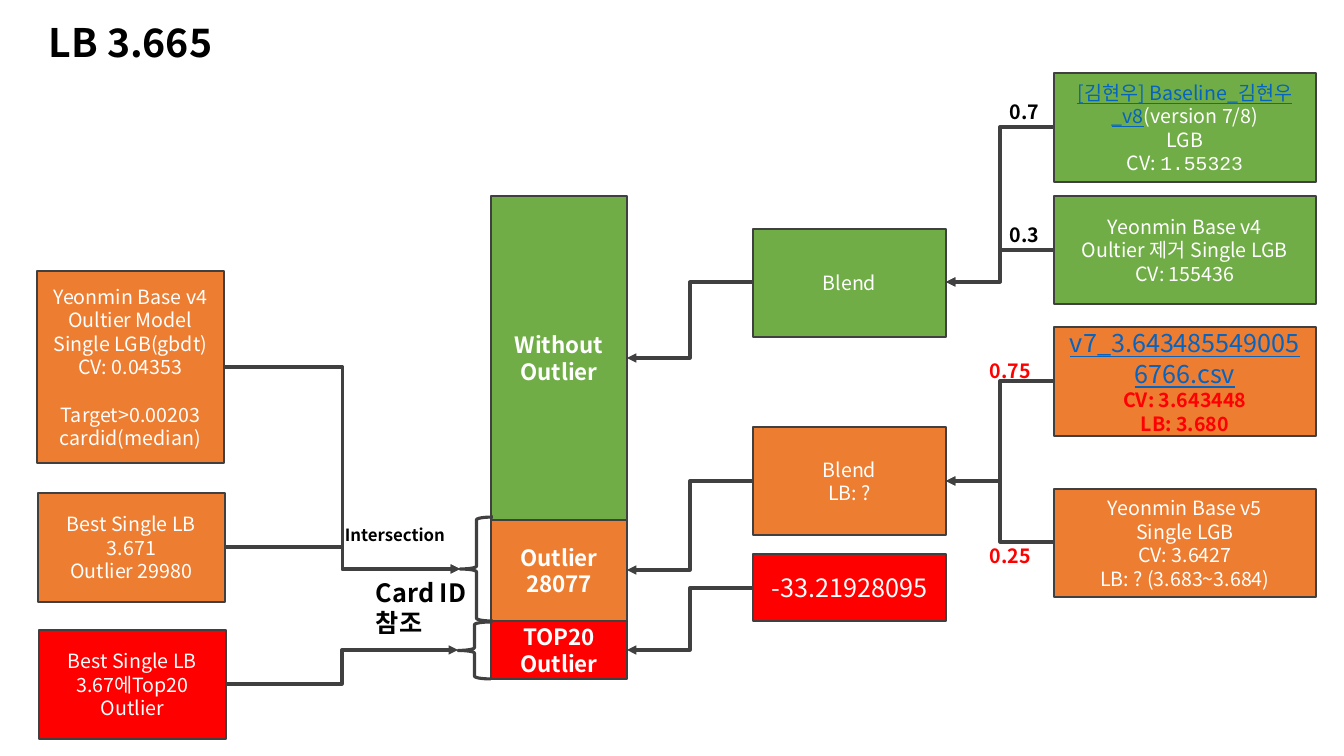
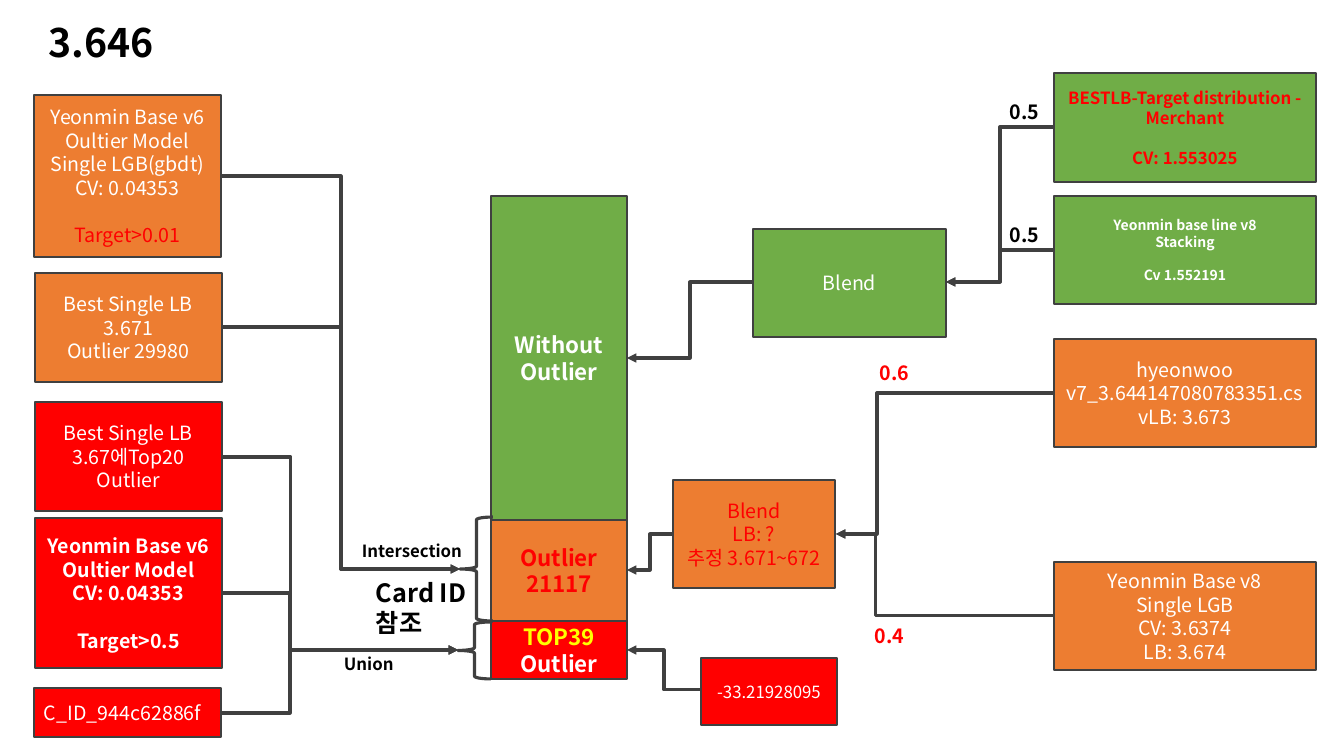
from lxml.etree import SubElement as Sub
from pptx import Presentation
from pptx.dml.color import RGBColor
from pptx.enum.shapes import MSO_CONNECTOR as Link, MSO_SHAPE as Kind
from pptx.enum.text import MSO_ANCHOR as Anchor, MSO_AUTO_SIZE as Fit, PP_ALIGN as Align
from pptx.oxml.ns import qn
from pptx.util import Pt

UNIT = 914400 / 100.8
FONT = "Noto Sans CJK KR"
GREEN = RGBColor(0x70, 0xAD, 0x47)
ORANGE = RGBColor(0xED, 0x7D, 0x31)
RED = RGBColor(0xFF, 0, 0)
YELLOW = RGBColor(0xFF, 0xFF, 0)
WHITE = RGBColor(0xFF, 0xFF, 0xFF)
BLACK = RGBColor(0, 0, 0)
BLUE = RGBColor(0x05, 0x63, 0xC1)
GRAY = RGBColor(0x40, 0x40, 0x40)


def px(*nums):
    return [round(num * UNIT) for num in nums]


def span(text, **form):
    return text, form


def write(para, text, size=14, color=WHITE, bold=False, under=False, face=FONT):
    run = para.add_run()
    run.text = text
    font = run.font
    font.size = Pt(size)
    font.bold = bold
    font.underline = under
    font.color.rgb = color
    font.name = face
    Sub(run._r.get_or_add_rPr(), qn("a:ea")).set("typeface", face)


def fill(frame, lines, align, **form):
    para = frame.paragraphs[0]
    first, gap = True, False
    for line in lines:
        if not line:
            gap = True
            continue
        if not first:
            para = frame.add_paragraph()
        para.alignment = align
        if gap:
            para.space_before = Pt(round(form.get("size", 14) * 1.2))
        first, gap = False, False
        for part in [line] if isinstance(line, str) else line:
            text, extra = (part, {}) if isinstance(part, str) else part
            write(para, text, **{**form, **extra})


class Deck:
    def __init__(self):
        self.show = Presentation()
        self.show.slide_width, self.show.slide_height = px(1344, 756)

    def page(self, title):
        self.slide = self.show.slides.add_slide(self.show.slide_layouts[6])
        self.label(39, 13, 1277, 57, title, size=28)

    def label(self, x, y, wide, high, text, size=14, color=BLACK):
        frame = self.slide.shapes.add_textbox(*px(x, y, wide, high)).text_frame
        frame.word_wrap = True
        frame.auto_size = Fit.SHAPE_TO_FIT_TEXT
        fill(frame, [text], Align.LEFT, size=size, color=color, bold=True)

    def weight(self, x, y, text, color=RED):
        self.label(x, y, 66, 34, text, color=color)

    def note(self, x, y, text):
        self.label(x, y, 123, 30, text, size=12)

    def box(self, x, y, wide, high, back, *lines, align=Align.CENTER, **form):
        shape = self.slide.shapes.add_shape(Kind.RECTANGLE, *px(x, y, wide, high))
        shape.shadow.inherit = False
        shape.fill.solid()
        shape.fill.fore_color.rgb = back
        shape.line.color.rgb = GRAY
        shape.line.width = Pt(1)
        frame = shape.text_frame
        frame.word_wrap = True
        frame.vertical_anchor = Anchor.MIDDLE
        fill(frame, lines, align, **form)

    def brace(self, x, y, wide, high):
        shape = self.slide.shapes.add_shape(Kind.LEFT_BRACE, *px(x, y, wide, high))
        shape.shadow.inherit = False
        shape.fill.background()
        shape.line.color.rgb = GRAY
        shape.line.width = Pt(2.25)

    def arrow(self, x, y, endx, endy, bend=None):
        link = self.slide.shapes.add_connector(Link.ELBOW, *px(x, y, endx, endy))
        link.line.color.rgb = GRAY
        link.line.width = Pt(2.25)
        Sub(link.line._get_or_add_ln(), qn("a:tailEnd")).set("type", "triangle")
        props = link._element.spPr
        Sub(props, qn("a:effectLst"))
        if bend:
            guide = Sub(props.find(".//" + qn("a:avLst")), qn("a:gd"))
            guide.set("name", "adj1")
            guide.set("fmla", f"val {round((bend - x) / (endx - x) * 100000)}")

    def core(self, count, top, tint, shares):
        bold = dict(size=16, bold=True)
        self.box(491, 196, 136, 324, GREEN, "Without", "Outlier", **bold)
        self.box(491, 520, 136, 101, ORANGE, "Outlier", count, color=tint, **bold)
        self.box(491, 621, 136, 58, RED, top, **bold)
        self.brace(458, 622, 33, 57)
        self.brace(460, 517, 33, 104)
        self.label(366, 572, 116, 72, "Card ID 참조", size=18)
        self.box(753, 229, 193, 108, GREEN, "Blend")
        self.arrow(753, 282, 627, 358)
        for y, share in zip((127, 250), shares):
            self.arrow(1054, y, 946, 282)
            self.weight(1000, y - 32, share, BLACK)

    def model(self, y, high, back, *lines, **form):
        self.box(1054, y, 262, high, back, *lines, **form)

    def source(self, x, y, high, back, *lines, **form):
        self.box(x, y, 187, high, back, *lines, **form)


VALUE = "-33.21928095"
SINGLE = ("Best Single LB 3.671", "Outlier 29980")
TOP = "Best Single LB 3.67에Top20 Outlier"

deck = Deck()

deck.page("LB 3.665")
deck.core("28077", "TOP20 Outlier", WHITE, ("0.7", "0.3"))
deck.model(73, 109, GREEN,
           [span("[김현우] Baseline_김현우_v8", color=BLUE, under=True),
            "(version\u00a07/8)"],
           "LGB", ["CV: ", span("1.55323", face="Courier New")])
deck.model(196, 108, GREEN, "Yeonmin Base v4", "Oultier 제거 Single LGB", "CV: 155436")
deck.model(327, 109, ORANGE,
           [span("v7_3.6434855490056766.csv", size=18, color=BLUE,
                 under=True, bold=False)],
           "CV: 3.643448", "LB: 3.680", color=RED, bold=True)
deck.model(489, 108, ORANGE, "Yeonmin Base v5", "Single LGB", "CV: 3.6427",
           "LB: ? (3.683~3.684)")
deck.box(753, 427, 193, 108, ORANGE, "Blend", "LB: ?")
deck.box(753, 554, 193, 67, RED, VALUE, size=18)
for y in (381, 542):
    deck.arrow(1054, y, 946, 481)
deck.arrow(753, 481, 627, 570)
deck.arrow(753, 588, 627, 650)
deck.weight(980, 354, "0.75")
deck.weight(980, 539, "0.25")
deck.source(37, 271, 192, ORANGE, "Yeonmin Base v4", "Oultier Model",
            "Single LGB(gbdt)", "CV: 0.04353", "", "Target>0.00203 cardid(median)")
deck.source(38, 493, 109, ORANGE, *SINGLE)
deck.source(39, 630, 109, RED, TOP)
for y in (367, 547):
    deck.arrow(225, y, 460, 569)
deck.arrow(226, 684, 458, 650)
deck.note(335, 520, "Intersection")

deck.page("3.646")
deck.core("21117", [span("TOP39", color=YELLOW), " Outlier"], RED, ("0.5", "0.5"))
deck.model(73, 109, GREEN, "BESTLB-Target distribution - Merchant", "",
           "CV: 1.553025", size=12, color=RED, bold=True)
deck.model(196, 108, GREEN, "Yeonmin base line v8", "Stacking", "",
           "Cv 1.552191", size=10, bold=True)
deck.model(339, 108, ORANGE, "hyeonwoo", "v7_3.644147080783351.csvLB: 3.673")
deck.model(562, 108, ORANGE, "Yeonmin Base v8", "Single LGB", "CV: 3.6374", "LB: 3.674")
deck.box(673, 480, 162, 108, ORANGE, "Blend", "LB: ?", "추정 3.671~672", color=RED)
deck.box(701, 658, 136, 67, RED, VALUE, size=12)
for y, bend in ((393, 877), (616, 876)):
    deck.arrow(1054, y, 836, 534, bend)
deck.arrow(673, 534, 627, 570)
deck.arrow(701, 690, 627, 650)
deck.weight(870, 356, "0.6")
deck.weight(865, 619, "0.4")
deck.source(34, 95, 162, ORANGE, "Yeonmin Base v6", "Oultier Model",
            "Single LGB(gbdt)", "CV: 0.04353", "", [span("Target>0.01", color=RED)])
deck.source(35, 273, 109, ORANGE, *SINGLE)
deck.source(35, 402, 109, RED, TOP)
deck.source(35, 518, 150, RED, "Yeonmin Base v6", "Oultier Model", "CV: 0.04353",
            "", "Target>0.5", bold=True)
deck.source(34, 688, 49, RED, "C_ID_944c62886f", align=Align.LEFT)
for y in (176, 327):
    deck.arrow(222, y, 460, 569)
for y, bend in ((457, 291), (593, 290), (713, 290)):
    deck.arrow(222, y, 458, 650, bend)
deck.note(352, 536, "Intersection")
deck.note(334, 649, "Union")

deck.show.save("out.pptx")
